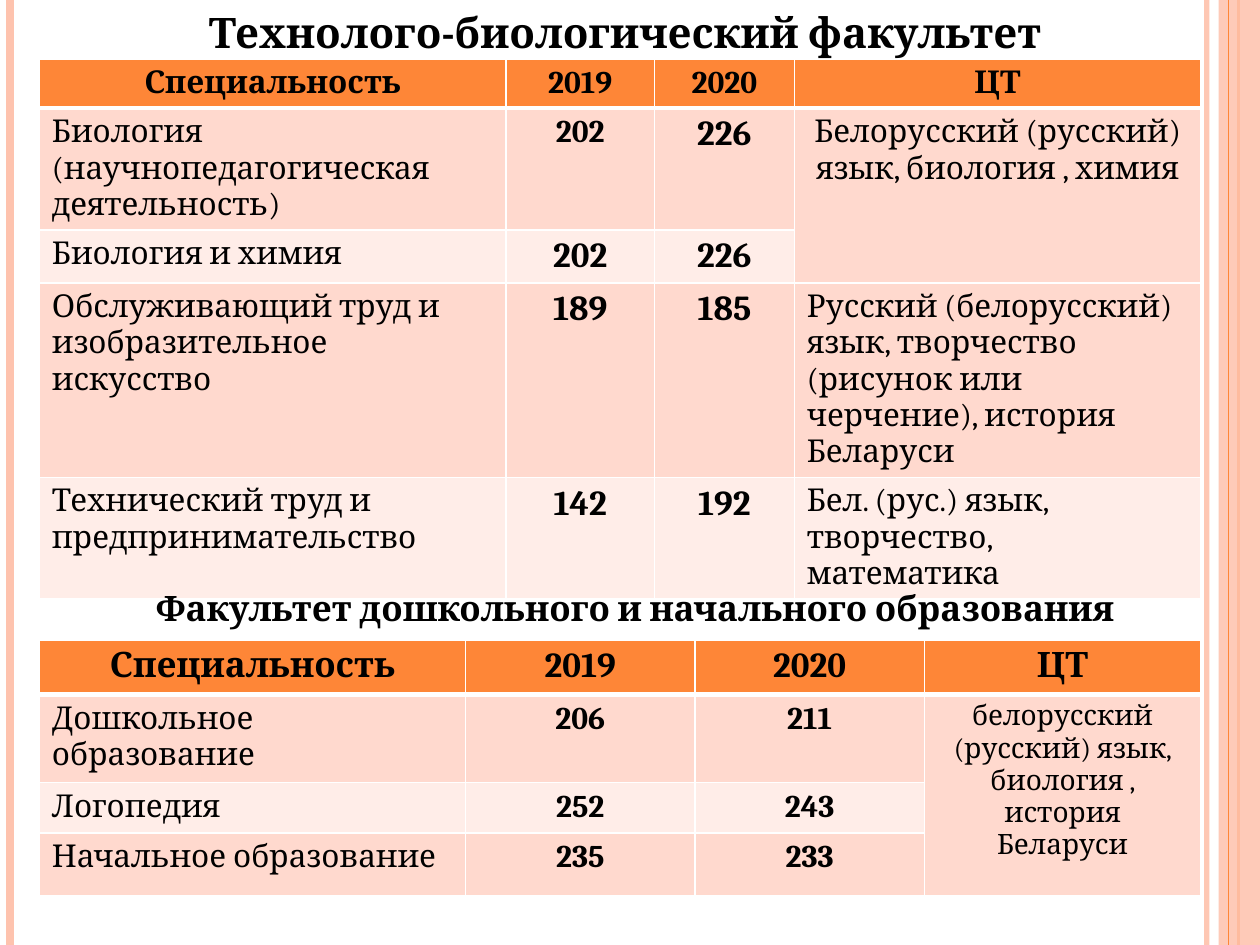
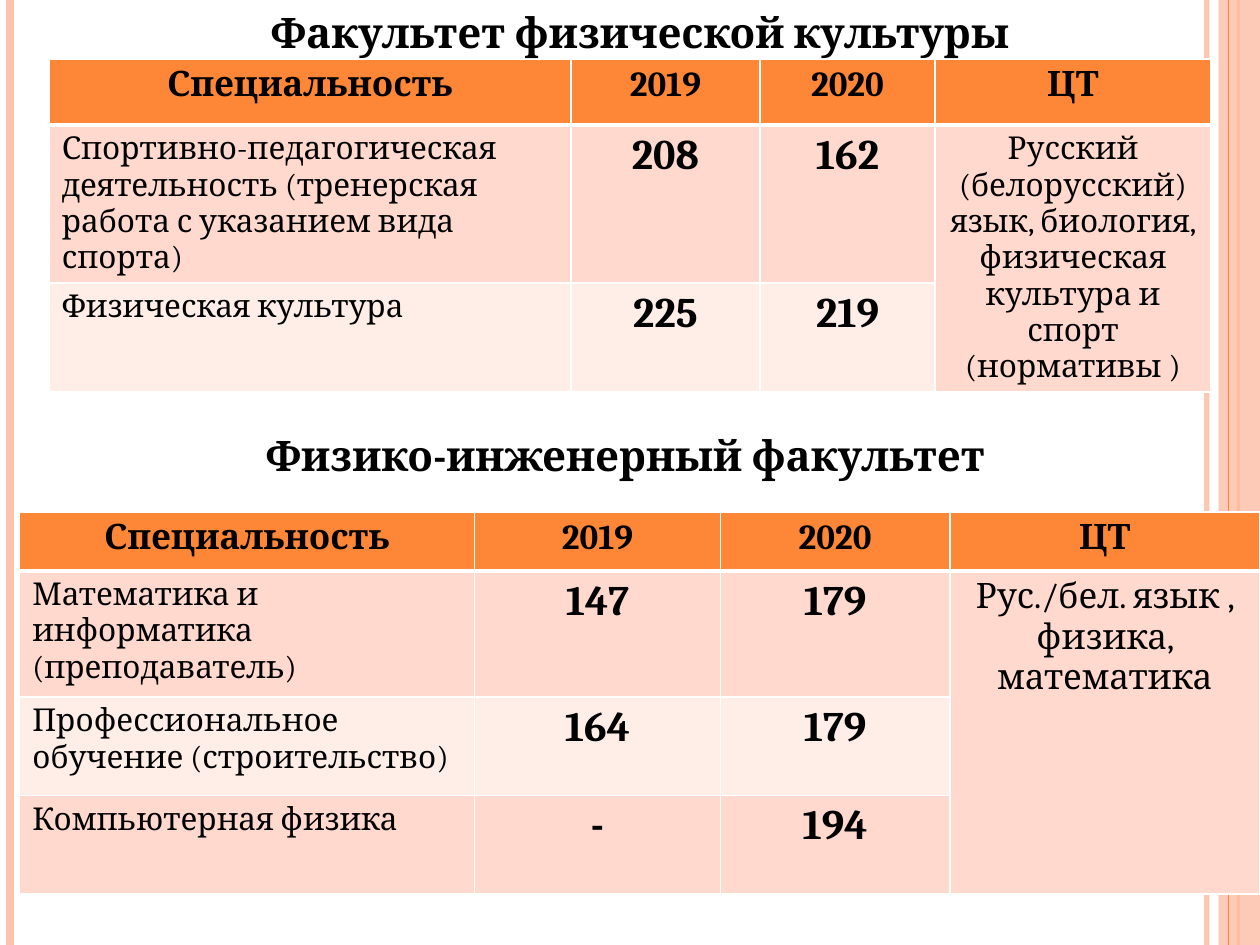
from itertools import groupby
from lxml.etree import SubElement
from pptx import Presentation
from pptx.dml.color import RGBColor
from pptx.enum.shapes import MSO_CONNECTOR, MSO_SHAPE
from pptx.enum.text import MSO_ANCHOR, MSO_AUTO_SIZE, PP_ALIGN
from pptx.oxml.ns import qn
from pptx.util import Inches, Pt

COLS, ROWS = 128, 96
FONT = "Cambria"
BLACK, WHITE = "000000", "FFFFFF"
ORANGE, PEACH = "FE8637", "FEC3AE"
BANDS = "FFD9CE", "FFEDE8"
HEADS = "Специальность", "2019", "2020", "ЦТ"


def color(code):
    return RGBColor.from_string(code)


def write(frame, text, size=18, bold=False, align=PP_ALIGN.LEFT, tint=BLACK):
    frame.word_wrap = True
    para = frame.paragraphs[0]
    para.alignment = align
    run = para.add_run()
    run.text = text
    font = run.font
    font.name, font.size, font.bold = FONT, Pt(size), bold
    font.color.rgb = color(tint)


def fade(shape, share):
    tone = next(shape.element.spPr.iter(qn("a:srgbClr")))
    SubElement(tone, qn("a:alpha"), val=str(share * 1000))


def edge(cell, **widths):
    props = cell._tc.get_or_add_tcPr()
    for side in "LRTB":
        line = SubElement(props, qn(f"a:ln{side}"), w=str(Pt(widths.get(side, 1))))
        fill = SubElement(line, qn("a:solidFill"))
        SubElement(fill, qn("a:srgbClr"), val=WHITE)


class Deck:
    def __init__(self):
        self.file = Presentation()
        self.file.slide_width, self.file.slide_height = Inches(10), Inches(7.5)
        self.layout = self.file.slide_layouts[5]
        self.slide = None

    def x(self, cols):
        return round(self.file.slide_width * cols / COLS)

    def y(self, rows):
        return round(self.file.slide_height * rows / ROWS)

    def box(self, left, top, width, height):
        return self.x(left), self.y(top), self.x(width), self.y(height)

    def start(self):
        self.slide = self.file.slides.add_slide(self.layout)

    def share(self, shape, number):
        next(shape.element.iter(qn("p:cNvPr"))).set("id", str(number))
        self.layout.shapes.element.append(shape.element)

    def rule(self, col, tint, width):
        line = self.slide.shapes.add_connector(
            MSO_CONNECTOR.STRAIGHT, self.x(col), 0, self.x(col), self.y(ROWS))
        line.line.color.rgb = color(tint)
        line.line.width = Pt(width)
        SubElement(line.element.spPr, qn("a:effectLst"))
        return line

    def band(self, left):
        band = self.slide.shapes.add_shape(
            MSO_SHAPE.RECTANGLE, *self.box(left, 0, COLS - left, ROWS))
        band.shadow.inherit = False
        band.fill.solid()
        band.fill.fore_color.rgb = color(PEACH)
        band.line.fill.background()
        return band

    def frame(self):
        thin = self.rule(122.6, PEACH, 3)
        fade(thin, 93)
        left = self.rule(1, PEACH, 4.5)
        right = self.rule(125.8, ORANGE, 1.5)
        band = self.band(123.8)
        fade(band, 87)
        fine = self.rule(124.8, ORANGE, 0.75)
        for number, shape in enumerate((thin, left, right, band, fine), 50):
            self.share(shape, number)

    def title(self, text, left, width):
        title = self.slide.shapes.title
        title.left, title.top, title.width, title.height = self.box(left, 0, width, 6.4)
        title.text_frame.vertical_anchor = MSO_ANCHOR.TOP
        title.text_frame.auto_size = MSO_AUTO_SIZE.NONE
        write(title.text_frame, text, size=24, bold=True, align=PP_ALIGN.CENTER)
        self.slide.shapes.element.append(title.element)

    def label(self, text, left, top, width, size=24):
        box = self.slide.shapes.add_textbox(*self.box(left, top, width, 6.4))
        write(box.text_frame, text, size=size, bold=True, align=PP_ALIGN.CENTER)

    def table(self, left, top, widths, heights, rows, head=20, score=24, exam=18):
        grid = self.slide.shapes.add_table(
            len(heights), len(widths),
            *self.box(left, top, sum(widths), sum(heights))).table
        for col, width in zip(grid.columns, widths):
            col.width = self.x(width)
        for row, height in zip(grid.rows, heights):
            row.height = self.y(height)
        for c, text in enumerate(HEADS):
            cell = grid.cell(0, c)
            self.fill(cell, ORANGE, B=3)
            write(cell.text_frame, text, size=head, bold=True, align=PP_ALIGN.CENTER)
        for r, (name, *marks) in enumerate(rows, 1):
            for c in range(len(HEADS)):
                self.fill(grid.cell(r, c), BANDS[(r - 1) % 2], T=3 if r == 1 else 1)
            write(grid.cell(r, 0).text_frame, name)
            for c, mark in enumerate(marks[:2], 1):
                text, size = mark if isinstance(mark, tuple) else (mark, score)
                write(grid.cell(r, c).text_frame, text, size=size, bold=True,
                      align=PP_ALIGN.CENTER)
        first = 1
        for text, group in groupby(rows, key=lambda row: row[3]):
            last = first + len(list(group)) - 1
            cell = grid.cell(first, 3)
            if last > first:
                cell.merge(grid.cell(last, 3))
            write(cell.text_frame, text, size=exam,
                  align=PP_ALIGN.CENTER if last > first else PP_ALIGN.LEFT)
            first = last + 1

    def fill(self, cell, tint, **widths):
        edge(cell, **widths)
        cell.fill.solid()
        cell.fill.fore_color.rgb = color(tint)


def main():
    deck = Deck()
    deck.start()
    deck.frame()
    life = "Белорусский (русский) язык, биология , химия"
    deck.table(4, 6, (47.4, 15.1, 14.2, 41.3), (4.8, 12, 5.2, 15.6, 9.4), [
        ("Биология (научнопедагогическая деятельность)", ("202", 18), "226", life),
        ("Биология и химия", "202", "226", life),
        ("Обслуживающий труд и изобразительное искусство", "189", "185",
         "Русский (белорусский) язык, творчество (рисунок или черчение), история Беларуси"),
        ("Технический труд и предпринимательство", "142", "192",
         "Бел. (рус.) язык, творчество, математика"),
    ], head=18, score=20)
    deck.title("Технолого-биологический факультет", 14, 99)
    deck.label("Факультет дошкольного и начального образования", 4, 59, 121, size=20)
    child = "белорусский (русский) язык, биология , история Беларуси"
    deck.table(4, 65, (43.3, 23.3, 23.3, 28.1), (5.1, 4.7, 4.7, 6.4), [
        ("Дошкольное образование", "206", "211", child),
        ("Логопедия", "252", "243", child),
        ("Начальное образование", "235", "233", child),
    ], score=18, exam=16)

    deck.start()
    sport = "Русский (белорусский) язык, биология, физическая культура и спорт (нормативы )"
    deck.table(5, 6, (53, 19.2, 17.8, 28), (6.7, 12.4, 9.8), [
        ("Спортивно-педагогическая деятельность (тренерская работа с указанием вида спорта)",
         "208", "162", sport),
        ("Физическая культура", "225", "219", sport),
    ])
    deck.title("Факультет физической культуры", 18, 94)
    deck.label("Физико-инженерный факультет", 10, 43, 107)
    tech = "Рус./бел. язык , физика, математика"
    deck.table(2, 52, (46.2, 25, 23.3, 31.5), (6, 10, 10, 10), [
        ("Математика и информатика (преподаватель)", "147", "179", tech),
        ("Профессиональное обучение (строительство)", "164", "179", tech),
        ("Компьютерная физика", "-", "194", tech),
    ], exam=20)
    deck.file.save("out.pptx")


if __name__ == "__main__":
    main()
